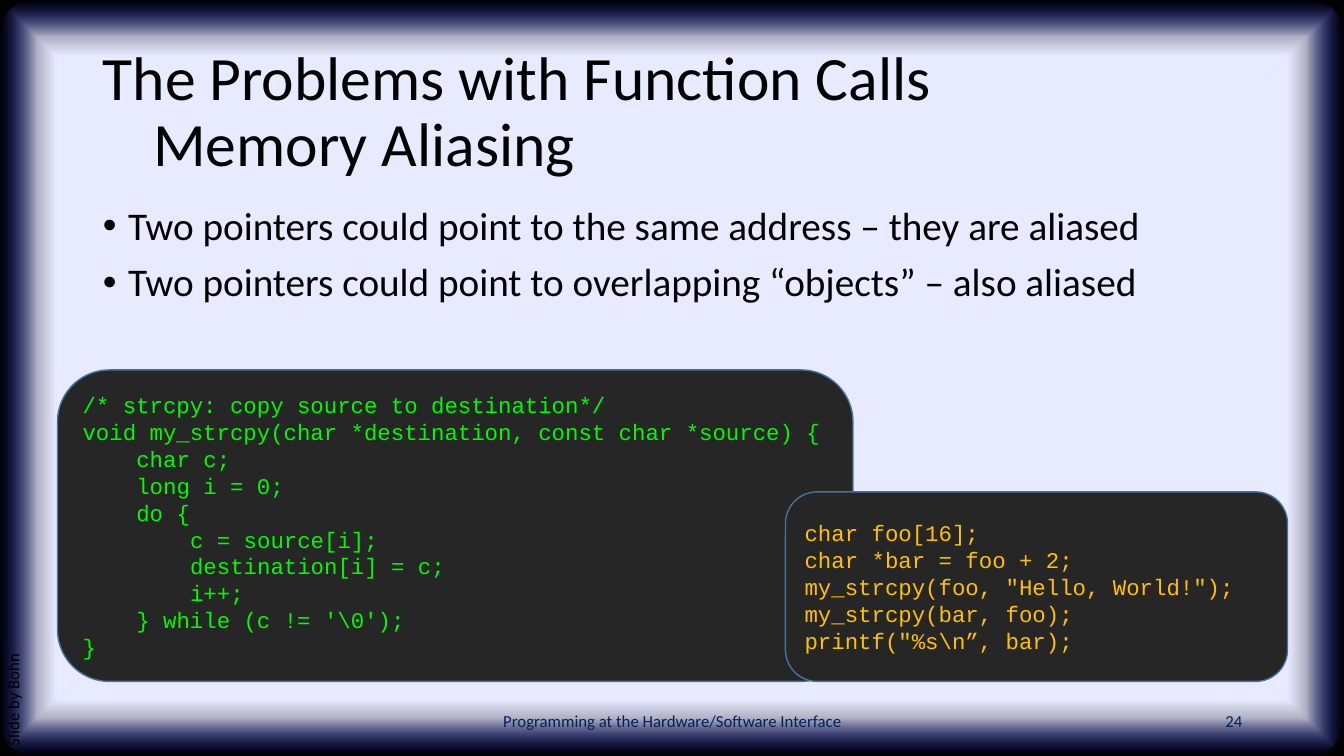
from dataclasses import dataclass

from pptx import Presentation
from pptx.dml.color import RGBColor
from pptx.enum.shapes import MSO_SHAPE
from pptx.enum.text import MSO_ANCHOR, MSO_AUTO_SIZE, PP_ALIGN
from pptx.oxml import parse_xml
from pptx.oxml.ns import nsdecls, qn
from pptx.util import Inches, Pt

BLACK, NAVY, CHARCOAL, STEEL = "000000", "002060", "262626", "43739E"
CODE_INDENT = 0.533  # four 16 pt monospaced characters, in inches


@dataclass(frozen=True)
class Box:
    left: float
    top: float
    width: float
    height: float

    def lengths(self):
        return [Inches(v) for v in (self.left, self.top, self.width, self.height)]


@dataclass(frozen=True)
class Label:
    text: str
    box: Box
    color: str
    align: PP_ALIGN = PP_ALIGN.LEFT
    anchor: MSO_ANCHOR = MSO_ANCHOR.MIDDLE
    rotation: float = 0
    line_spacing: float = 1.0


@dataclass(frozen=True)
class CodePanel:
    box: Box
    color: str
    lines: tuple[tuple[int, str], ...]  # indent level, code


LABELS = (
    Label("Programming at the Hardware/Software Interface",
          Box(4.42, 6.95, 4.5, 0.4), NAVY, PP_ALIGN.CENTER),
    Label("24", Box(9.42, 6.95, 3, 0.4), NAVY, PP_ALIGN.RIGHT),
    Label("Slide by Bohn", Box(-2.44, 4.66, 5.28, 0.4), BLACK,
          anchor=MSO_ANCHOR.TOP, rotation=270, line_spacing=0.9),
)

PANELS = (
    CodePanel(Box(0.57, 3.67, 7.89, 3.09), "00FA00", (
        (0, "/* strcpy: copy source to destination*/"),
        (0, "void my_strcpy(char *destination, const char *source) {"),
        (1, "char c;"),
        (1, "long i = 0;"),
        (1, "do {"),
        (2, "c = source[i];"),
        (2, "destination[i] = c;"),
        (2, "i++;"),
        (1, "} while (c != '\\0');"),
        (0, "}"),
    )),
    CodePanel(Box(7.79, 4.88, 4.98, 1.88), "FFC000", (
        (0, "char foo[16];"),
        (0, "char *bar = foo + 2;"),
        (0, 'my_strcpy(foo, "Hello, World!");'),
        (0, "my_strcpy(bar, foo);"),
        (0, 'printf("%s\\n”, bar);'),
    )),
)

BULLETS = (
    "Two pointers could point to the same address – they are aliased",
    "Two pointers could point to overlapping “objects” – also aliased",
)


def rgb(value: str) -> RGBColor:
    return RGBColor.from_string(value)


def add_run(p, text: str, size: float, color: str, font: str = "Calibri") -> None:
    r = p.add_run()
    r.text = text
    r.font.size, r.font.name = Pt(size), font
    r.font.color.rgb = rgb(color)


def place(sp, box: Box) -> None:
    sp.left, sp.top, sp.width, sp.height = box.lengths()


def setup_frame(sp, anchor: MSO_ANCHOR):
    tf = sp.text_frame
    tf.word_wrap, tf.auto_size = True, MSO_AUTO_SIZE.NONE
    tf.vertical_anchor = anchor
    return tf


def paragraph(tf, index: int):
    return tf.paragraphs[0] if index == 0 else tf.add_paragraph()


def set_indent(p, margin: float, first: float = 0) -> None:
    pPr = p._p.get_or_add_pPr()
    pPr.set("marL", str(Inches(margin)))
    pPr.set("indent", str(Inches(first)))


def add_round_rect(s, box: Box, fill: str):
    sp = s.shapes.add_shape(MSO_SHAPE.ROUNDED_RECTANGLE, *box.lengths())
    sp.shadow.inherit = False
    sp.fill.solid()
    sp.fill.fore_color.rgb = rgb(fill)
    return sp


def add_backdrop(s) -> None:
    """Black slide with a pale panel that fades out towards its edges."""
    s.background.fill.solid()
    s.background.fill.fore_color.rgb = rgb(BLACK)
    sp = add_round_rect(s, Box(0, 0, 13.33, 7.5), "E8EAFF")
    sp.adjustments[0] = 0.048
    sp.line.fill.background()
    stops = "".join(
        f'<a:gs pos="{pos * 1000}"><a:srgbClr val="{color}">'
        f'<a:alpha val="{alpha * 1000}"/></a:srgbClr></a:gs>'
        for pos, color, alpha in
        ((85, "E8EAFF", 100), (90, "E8EAFF", 75), (100, "162AFF", 0)))
    gradient = parse_xml(
        f'<a:gradFill {nsdecls("a")} rotWithShape="1"><a:gsLst>{stops}</a:gsLst>'
        '<a:path path="shape"><a:fillToRect l="50000" t="50000" r="50000" b="50000"/>'
        '</a:path></a:gradFill>')
    spPr = sp.element.spPr
    spPr.replace(spPr.find(qn("a:solidFill")), gradient)
    s.shapes.title.element.addprevious(sp.element)


def fill_title(s) -> None:
    sp = s.shapes.title
    place(sp, Box(0.92, 0.4, 11.5, 1.45))
    p = setup_frame(sp, MSO_ANCHOR.MIDDLE).paragraphs[0]
    p.alignment, p.line_spacing = PP_ALIGN.LEFT, 0.9
    add_run(p, "The Problems with Function Calls", 44, BLACK)
    p.add_line_break()
    add_run(p, "\tMemory Aliasing", 44, BLACK)


def fill_body(s) -> None:
    sp = s.placeholders[1]
    place(sp, Box(0.92, 2, 11.5, 4.76))
    tf = setup_frame(sp, MSO_ANCHOR.TOP)
    for i, text in enumerate(BULLETS):
        p = paragraph(tf, i)
        p.line_spacing, p.space_before = 0.9, Pt(10)
        set_indent(p, 0.25, -0.25)
        add_run(p, text, 28, BLACK)


def add_label(s, label: Label) -> None:
    sp = s.shapes.add_textbox(*label.box.lengths())
    sp.rotation = label.rotation
    p = setup_frame(sp, label.anchor).paragraphs[0]
    p.alignment, p.line_spacing = label.align, label.line_spacing
    add_run(p, label.text, 12, label.color)


def add_code(s, panel: CodePanel) -> None:
    sp = add_round_rect(s, panel.box, CHARCOAL)
    sp.line.color.rgb, sp.line.width = rgb(STEEL), Pt(1)
    tf = setup_frame(sp, MSO_ANCHOR.MIDDLE)
    for i, (level, code) in enumerate(panel.lines):
        p = paragraph(tf, i)
        p.alignment = PP_ALIGN.LEFT
        set_indent(p, level * CODE_INDENT)
        add_run(p, code, 16, panel.color, "Courier New")


def main() -> None:
    prs = Presentation()
    prs.slide_width, prs.slide_height = Inches(13.33), Inches(7.5)
    s = prs.slides.add_slide(prs.slide_layouts[1])

    # Backdrop, title and bullets
    add_backdrop(s)
    fill_title(s)
    fill_body(s)

    # Footer, slide number and side credit
    for label in LABELS:
        add_label(s, label)

    # Code panels
    for panel in PANELS:
        add_code(s, panel)

    prs.save("out.pptx")


if __name__ == "__main__":
    main()
